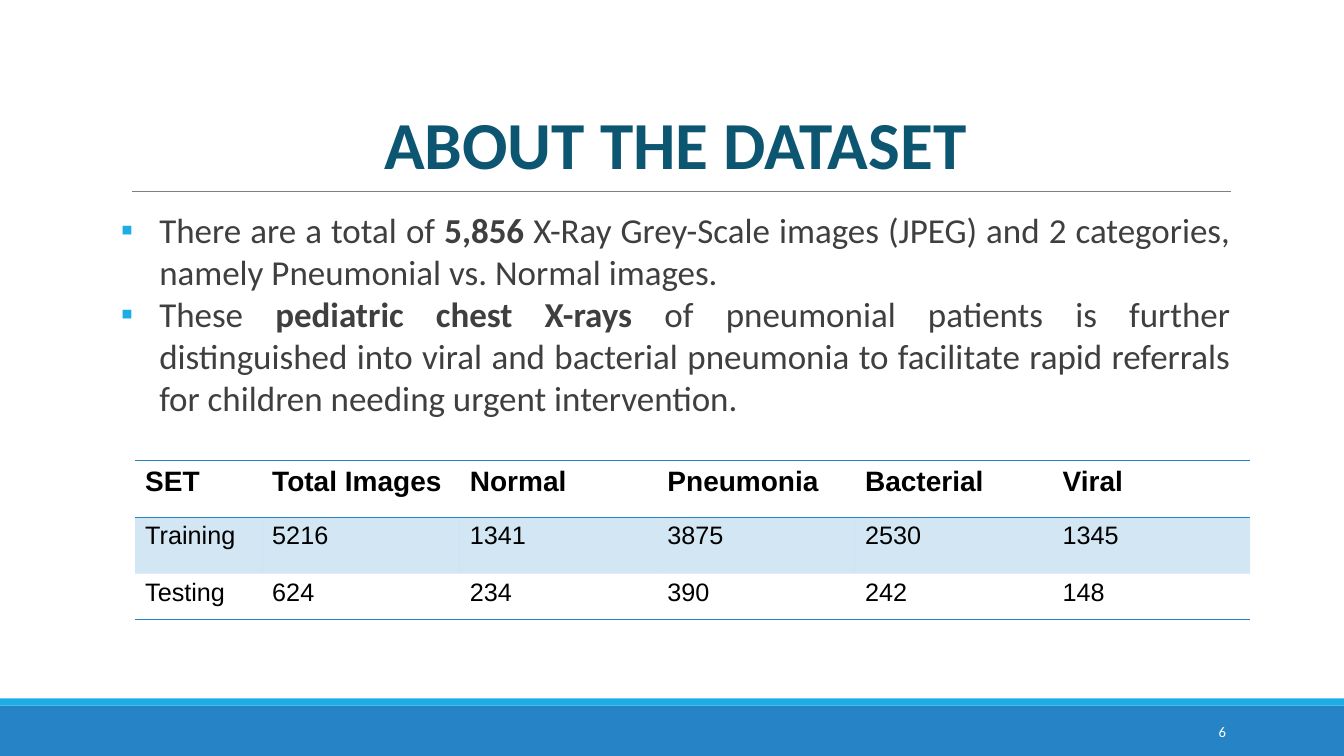
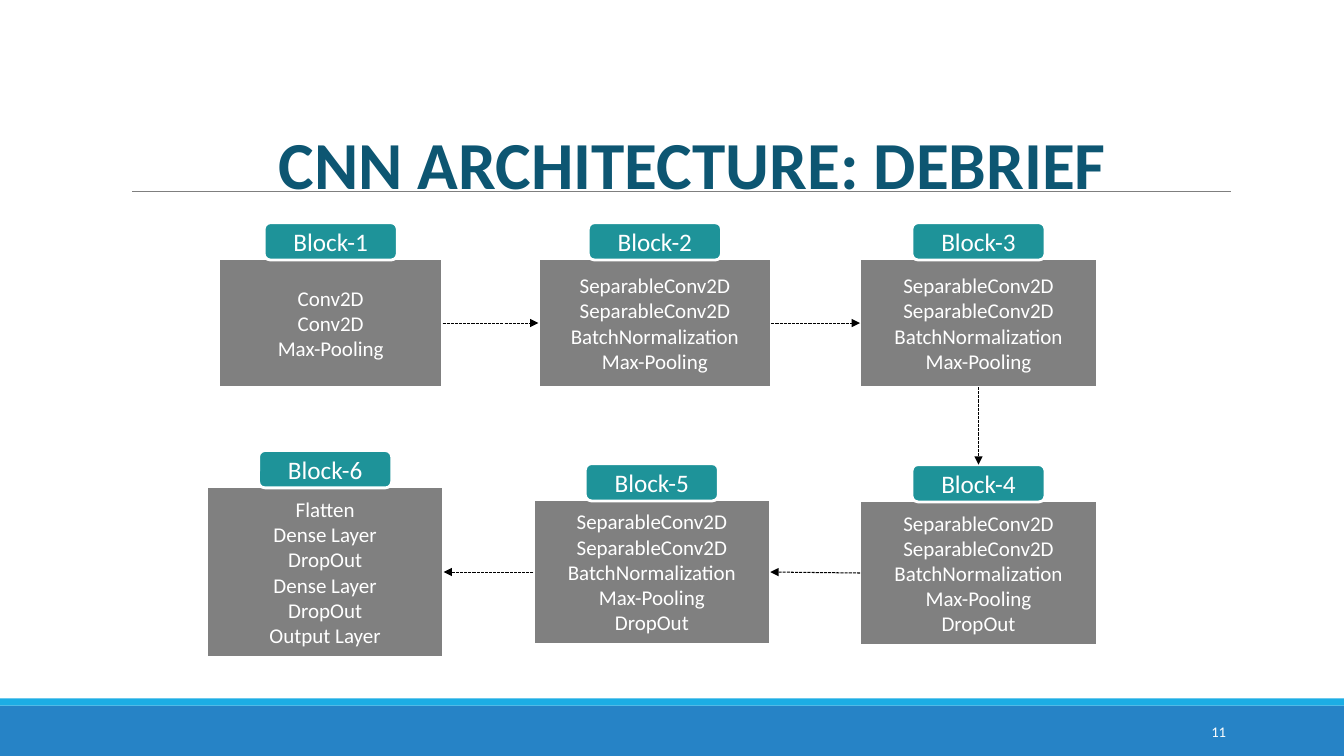
from lxml.etree import SubElement
from pptx import Presentation
from pptx.dml.color import RGBColor
from pptx.enum.dml import MSO_LINE
from pptx.enum.shapes import MSO_CONNECTOR, MSO_SHAPE
from pptx.enum.text import MSO_ANCHOR, MSO_AUTO_SIZE, PP_ALIGN
from pptx.oxml.ns import qn
from pptx.util import Inches, Pt

BLUE = RGBColor(0x26, 0x83, 0xC6)
CYAN = RGBColor(0x1C, 0xAD, 0xE4)
NAVY = RGBColor(0x0D, 0x56, 0x72)
TEAL = RGBColor(0x1E, 0x93, 0x99)
CHARCOAL = RGBColor(0x3F, 0x3F, 0x3F)
RULE_GREY = RGBColor(0x7F, 0x7F, 0x7F)
BLOCK_GREY = RGBColor(0x80, 0x80, 0x80)
BLACK = RGBColor(0, 0, 0)
WHITE = RGBColor(0xFF, 0xFF, 0xFF)

TITLE_ONLY, TITLE_AND_CONTENT = 5, 1
TOP, LEFT, BOTTOM, RIGHT = range(4)  # connection sites of a rectangle


def xml_child(parent, tag, **attributes):
    return SubElement(parent, qn(tag), attributes)


def write_text(frame, paragraphs, size=18, color=WHITE, font="Calibri", bold=False,
               align=PP_ALIGN.CENTER, anchor=MSO_ANCHOR.MIDDLE, spacing=1.0, bullet=None):
    """Fill a text frame; a paragraph is a string or a list of (text, bold) runs."""
    frame.word_wrap = True
    frame.auto_size = MSO_AUTO_SIZE.NONE
    frame.vertical_anchor = anchor
    for index, content in enumerate(paragraphs):
        paragraph = frame.add_paragraph() if index else frame.paragraphs[0]
        paragraph.alignment = align
        paragraph.line_spacing = spacing
        paragraph.space_before = Pt(0)
        if bullet:
            add_bullet(paragraph, bullet)
        for words, strong in [(content, bold)] if isinstance(content, str) else content:
            run = paragraph.add_run()
            run.text = words
            run.font.name = font
            run.font.size = Pt(size)
            run.font.bold = strong
            run.font.color.rgb = color


def add_bullet(paragraph, character):
    properties = paragraph._p.get_or_add_pPr()
    properties.set("marL", str(Inches(0.38)))
    properties.set("indent", str(-Inches(0.38)))
    xml_child(xml_child(properties, "a:buClr"), "a:srgbClr", val=str(CYAN))
    xml_child(properties, "a:buFont", typeface="Arial")
    xml_child(properties, "a:buChar", char=character)


def set_horizontal_borders(cell, top, bottom):
    """Draw only the requested top and bottom borders of a cell."""
    properties = cell._tc.get_or_add_tcPr()
    sides = {"a:lnL": False, "a:lnR": False, "a:lnT": top, "a:lnB": bottom}
    for position, (tag, visible) in enumerate(sides.items()):
        border = xml_child(properties, tag, w=str(Pt(1)))
        if visible:
            xml_child(xml_child(border, "a:solidFill"), "a:srgbClr", val=str(BLUE))
        else:
            xml_child(border, "a:noFill")
        properties.insert(position, border)


class Deck:
    """Holds the presentation style and the slide being built."""

    def __init__(self):
        self.presentation = Presentation()
        self.presentation.slide_width = Inches(13.33)
        self.presentation.slide_height = Inches(7.5)
        self.slide = None

    def new_slide(self, layout, title, number, title_left, title_top):
        self.slide = self.presentation.slides.add_slide(
            self.presentation.slide_layouts[layout])
        self.box(0, 7, 13.33, 0.5, BLUE)
        self.box(0, 6.93, 13.33, 0.07, CYAN)
        self.line((1.31, 1.9), (12.21, 1.9), RULE_GREY)
        for placeholder in list(self.slide.placeholders):
            self.slide.shapes.element.append(placeholder.element)  # above the rule

        heading = self.slide.shapes.title
        self.place(heading, title_left, title_top, 11, 1.59)
        write_text(heading.text_frame, [title], size=48, color=NAVY, bold=True,
                   anchor=MSO_ANCHOR.BOTTOM, spacing=0.85)
        page = self.slide.shapes.add_textbox(
            Inches(10.83), Inches(7.06), Inches(1.43), Inches(0.4))
        write_text(page.text_frame, [str(number)], size=10.5, align=PP_ALIGN.RIGHT)

    def place(self, shape, left, top, width, height):
        shape.left, shape.top = Inches(left), Inches(top)
        shape.width, shape.height = Inches(width), Inches(height)

    def box(self, left, top, width, height, fill, paragraphs=(), size=15,
            outline=None, preset=MSO_SHAPE.RECTANGLE):
        shape = self.slide.shapes.add_shape(
            preset, Inches(left), Inches(top), Inches(width), Inches(height))
        shape.shadow.inherit = False
        shape.fill.solid()
        shape.fill.fore_color.rgb = fill
        if outline is None:
            shape.line.fill.background()
        else:
            shape.line.color.rgb = outline
            shape.line.width = Pt(2)
        write_text(shape.text_frame, paragraphs, size=size)
        return shape

    def line(self, start, end, color):
        connector = self.slide.shapes.add_connector(
            MSO_CONNECTOR.STRAIGHT, *(Inches(value) for value in (*start, *end)))
        connector.line.color.rgb = color
        connector.line.width = Pt(0.75)
        xml_child(connector.element.spPr, "a:effectLst")
        return connector

    def arrow(self, source, source_site, target, target_site):
        connector = self.line((0, 0), (0, 0), BLACK)
        connector.begin_connect(source, source_site)
        connector.end_connect(target, target_site)
        connector.line.dash_style = MSO_LINE.SQUARE_DOT
        xml_child(connector.line._get_or_add_ln(), "a:tailEnd", type="triangle")

    def bullets(self, paragraphs, left, top, width, height):
        body = self.slide.placeholders[1]
        self.place(body, left, top, width, height)
        body.text_frame.margin_left = body.text_frame.margin_right = 0
        write_text(body.text_frame, paragraphs, size=25, color=CHARCOAL,
                   align=PP_ALIGN.JUSTIFY, anchor=MSO_ANCHOR.TOP, bullet="▪")

    def table(self, rows, left, top, widths, heights):
        table = self.slide.shapes.add_table(
            len(rows), len(widths), Inches(left), Inches(top),
            Inches(sum(widths)), Inches(sum(heights))).table
        table.first_row = table.horz_banding = False
        for column, width in zip(table.columns, widths):
            column.width = Inches(width)
        for index, (row, values) in enumerate(zip(table.rows, rows)):
            row.height = Inches(heights[index])
            header, last = index == 0, index == len(rows) - 1
            for cell, value in zip(row.cells, values):
                write_text(cell.text_frame, [value], size=20 if header else 18,
                           color=BLACK, font="Arial", bold=header,
                           align=PP_ALIGN.LEFT, anchor=MSO_ANCHOR.TOP)
                if index % 2:
                    cell.fill.solid()
                    cell.fill.fore_color.rgb = BLUE
                    tint = cell._tc.tcPr.find(".//" + qn("a:srgbClr"))
                    xml_child(tint, "a:alpha", val="20000")
                else:
                    cell.fill.background()
                set_horizontal_borders(cell, top=index <= 1, bottom=header or last)

    def block(self, name, layers, left, top, width, height):
        """Draw a network block with its name tab centred above; return both."""
        body = self.box(left, top, width, height, BLOCK_GREY, layers, outline=WHITE)
        tab_width = 1.32
        tab = self.box(left + (width - tab_width) / 2, top - 0.36, tab_width, 0.37, TEAL,
                       [name], size=18, outline=WHITE, preset=MSO_SHAPE.ROUNDED_RECTANGLE)
        return body, tab


def build_dataset_slide(deck):
    deck.new_slide(TITLE_AND_CONTENT, "ABOUT THE DATASET", 6, 1.2, 0.28)
    deck.bullets([
        [("There are a total of ", False), ("5,856", True),
         (" X-Ray Grey-Scale images (JPEG) and 2 categories, namely Pneumonial vs. "
          "Normal images.", False)],
        [("These ", False), ("pediatric chest X-rays ", True),
         ("of pneumonial patients is further distinguished into viral and bacterial "
          "pneumonia to facilitate rapid referrals for children needing urgent "
          "intervention.", False)],
    ], 1.2, 2.02, 11, 2.43)
    deck.table([
        ["SET", "Total Images", "Normal", "Pneumonia", "Bacterial", "Viral"],
        ["Training", "5216", "1341", "3875", "2530", "1345"],
        ["Testing", "624", "234", "390", "242", "148"],
    ], 1.34, 4.57, [1.26] + [1.96] * 5, [0.56, 0.56, 0.46])


def build_architecture_slide(deck):
    deck.new_slide(TITLE_ONLY, "CNN ARCHITECTURE: DEBRIEF", 11, 1.37, 0.48)
    separable = ["SeparableConv2D"] * 2 + ["BatchNormalization", "Max-Pooling"]
    with_dropout = separable + ["DropOut"]
    dense = ["Flatten"] + ["Dense Layer", "DropOut"] * 2 + ["Output Layer"]
    blocks = [
        (["Conv2D", "Conv2D", "Max-Pooling"], 2.17, 2.57, 2.22, 1.27),
        (separable, 5.34, 2.57, 2.31, 1.27),
        (separable, 8.53, 2.57, 2.35, 1.27),
        (with_dropout, 8.53, 4.97, 2.35, 1.43),
        (with_dropout, 5.29, 4.96, 2.35, 1.43),
        (dense, 2.05, 4.83, 2.35, 1.69),
    ]
    drawn = [deck.block(f"Block-{number}", *block)
             for number, block in enumerate(blocks, start=1)]
    bodies = [body for body, tab in drawn]
    fourth_tab = drawn[3][1]
    for source, target in ((0, 1), (1, 2)):
        deck.arrow(bodies[source], RIGHT, bodies[target], LEFT)
    deck.arrow(bodies[2], BOTTOM, fourth_tab, TOP)
    for source, target in ((3, 4), (4, 5)):
        deck.arrow(bodies[source], LEFT, bodies[target], RIGHT)


def main():
    deck = Deck()
    build_dataset_slide(deck)
    build_architecture_slide(deck)
    deck.presentation.save("out.pptx")


if __name__ == "__main__":
    main()
